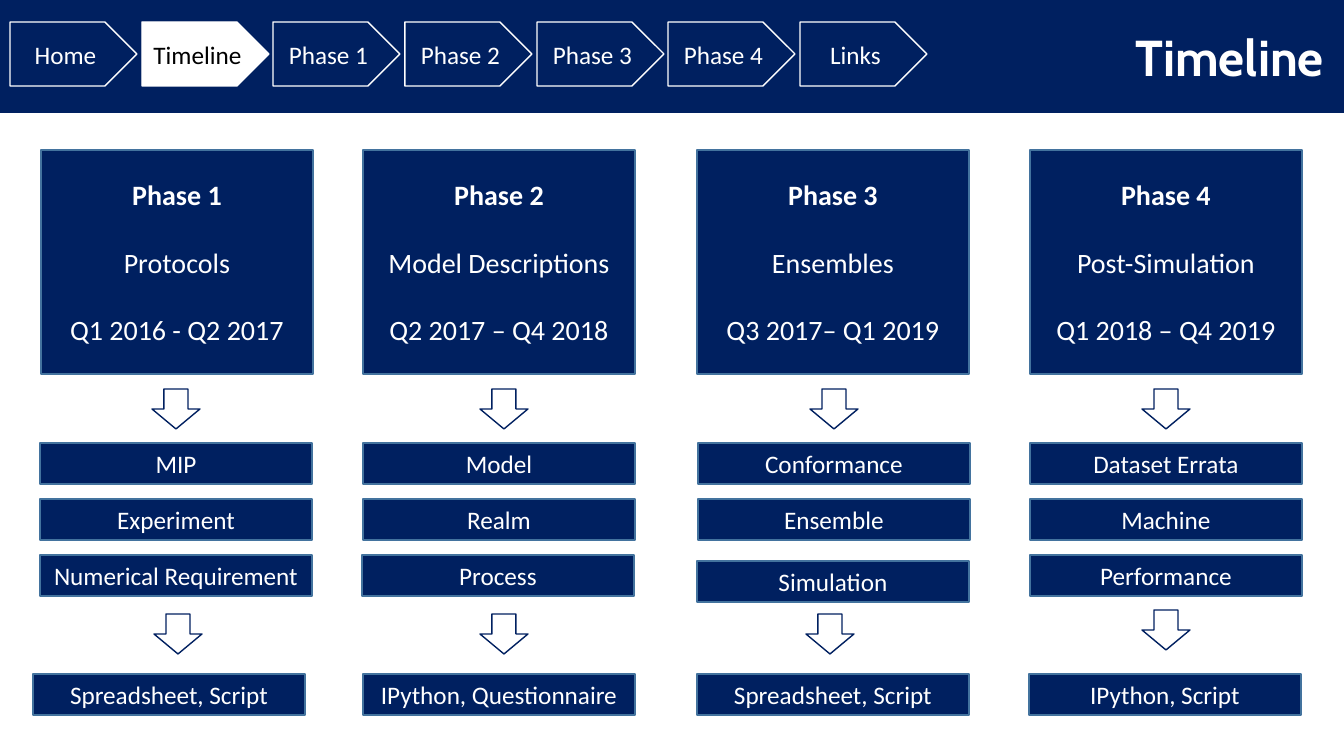
"""Build the project timeline slide."""
from pptx import Presentation
from pptx import util as u
from pptx.dml.color import RGBColor
from pptx.enum import shapes, text

EMU_PER_PIXEL = 914400 / 100.8
NAVY, WHITE, BLACK, EDGE = "002060", "FFFFFF", "000000", "43739E"
KIND = shapes.MSO_SHAPE

NAVIGATION = ["Home", "Timeline", "Phase 1", "Phase 2", "Phase 3", "Phase 4", "Links"]
CURRENT = "Timeline"
BAR_HEIGHT = 41

# Each phase: card left, card lines, bars and output as (text, left, top),
# then the upper and lower arrow as (left, top).
PHASES = [
    (41, ["Phase 1", "Protocols", "Q1 2016 - Q2 2017"],
     [("MIP", 40, 443), ("Experiment", 40, 499), ("Numerical Requirement", 40, 555),
      ("Spreadsheet, Script", 33, 674)],
     [(152, 389), (154, 614)]),
    (363, ["Phase 2", "Model Descriptions", "Q2 2017 – Q4 2018"],
     [("Model", 363, 443), ("Realm", 363, 499), ("Process", 362, 555),
      ("IPython, Questionnaire", 363, 674)],
     [(480, 389), (480, 614)]),
    (697, ["Phase 3", "Ensembles", "Q3 2017– Q1 2019"],
     [("Conformance", 698, 443), ("Ensemble", 698, 499), ("Simulation", 697, 561),
      ("Spreadsheet, Script", 697, 674)],
     [(810, 389), (806, 614)]),
    (1030, ["Phase 4", "Post-Simulation", "Q1 2018 – Q4 2019"],
     [("Dataset Errata", 1030, 443), ("Machine", 1030, 499), ("Performance", 1030, 555),
      ("IPython, Script", 1029, 674)],
     [(1142, 389), (1142, 610)]),
]


def px(pixels):
    """Turn pixels into EMU."""
    return u.Emu(round(pixels * EMU_PER_PIXEL))


def color(code):
    """Turn a hex string into a colour."""
    return RGBColor.from_string(code)


class Painter:
    """Holds the style and the current slide."""

    font = "Calibri"

    def __init__(self, slide):
        """Keep the slide to draw on."""
        self.slide = slide

    def add_span(self, para, words, size, code, bold=False, font=None):
        """Add one formatted run to a paragraph."""
        span = para.add_run()
        span.text = words
        span.font.size = u.Pt(size)
        span.font.name = font or self.font
        span.font.bold = bold
        span.font.color.rgb = color(code)

    def title(self, words, width, height):
        """Turn the title placeholder into the header band."""
        box = self.slide.shapes.title
        box.left, box.top, box.width, box.height = px(0), px(0), px(width), px(height)
        box.fill.solid()
        box.fill.fore_color.rgb = color(NAVY)
        frame = box.text_frame
        frame.auto_size = text.MSO_AUTO_SIZE.NONE
        frame.vertical_anchor = text.MSO_ANCHOR.MIDDLE
        frame.margin_right = px(20)
        para = frame.paragraphs[0]
        para.alignment = text.PP_ALIGN.RIGHT
        self.add_span(para, words, 36, WHITE, bold=True, font="Cabin")

    def shape(self, kind, left, top, width, height, fill, line):
        """Add a flat preset shape."""
        box = self.slide.shapes.add_shape(kind, px(left), px(top), px(width), px(height))
        box.shadow.inherit = False
        box.fill.solid()
        box.fill.fore_color.rgb = color(fill)
        box.line.color.rgb = color(line)
        box.line.width = u.Pt(1)
        frame = box.text_frame
        frame.word_wrap = True
        frame.vertical_anchor = text.MSO_ANCHOR.MIDDLE
        frame.paragraphs[0].alignment = text.PP_ALIGN.CENTER
        return box

    def tab(self, words, left, active):
        """Add one navigation tab."""
        fill, ink = (WHITE, BLACK) if active else (NAVY, WHITE)
        box = self.shape(KIND.PENTAGON, left, 22, 127, 64, fill, WHITE)
        self.add_span(box.text_frame.paragraphs[0], words, 18, ink)

    def card(self, left, lines):
        """Add a phase card with a bold heading and spaced lines."""
        frame = self.shape(KIND.RECTANGLE, left, 150, 272, 224, NAVY, EDGE).text_frame
        for index, words in enumerate(lines):
            para = frame.add_paragraph() if index else frame.paragraphs[0]
            para.alignment = text.PP_ALIGN.CENTER
            para.space_before = u.Pt(24.4 if index else 0)
            self.add_span(para, words, 20, WHITE, bold=index == 0)

    def bar(self, words, left, top):
        """Add a one-line bar."""
        box = self.shape(KIND.RECTANGLE, left, top, 272, BAR_HEIGHT, NAVY, EDGE)
        self.add_span(box.text_frame.paragraphs[0], words, 18, WHITE)

    def arrow(self, left, top):
        """Add a hollow down arrow."""
        self.shape(KIND.DOWN_ARROW, left, top, 48, 40, WHITE, NAVY)


def main():
    """Build and save the deck."""
    deck = Presentation()
    deck.slide_width, deck.slide_height = px(1344), px(756)
    page = Painter(deck.slides.add_slide(deck.slide_layouts[5]))
    page.title("Timeline", 1344, 113)
    for index, words in enumerate(NAVIGATION):
        page.tab(words, round(10 + 131.7 * index), words == CURRENT)
    for left, lines, bars, arrows in PHASES:
        page.card(left, lines)
        for bar in bars:
            page.bar(*bar)
        for arrow in arrows:
            page.arrow(*arrow)
    deck.save("out.pptx")


main()
